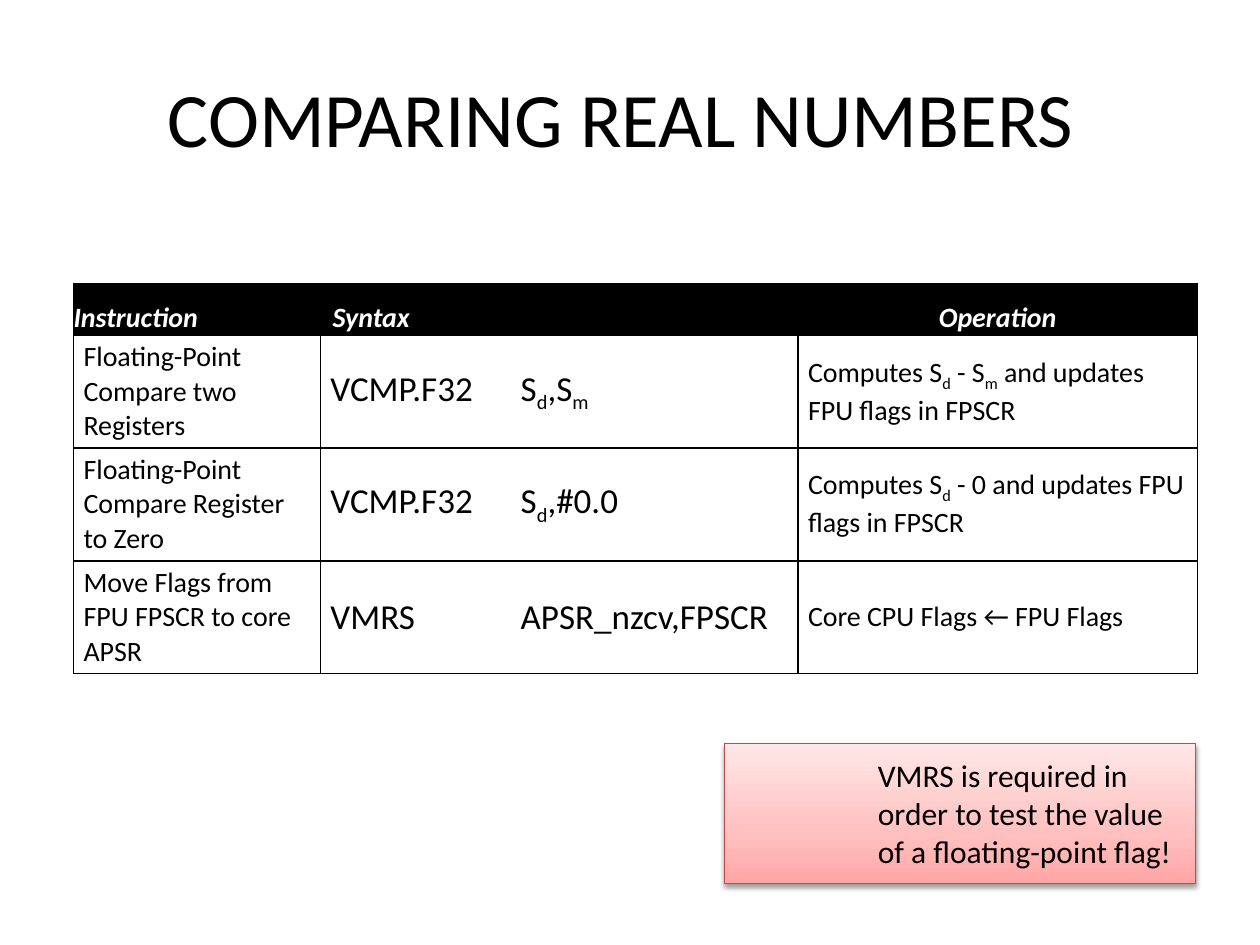
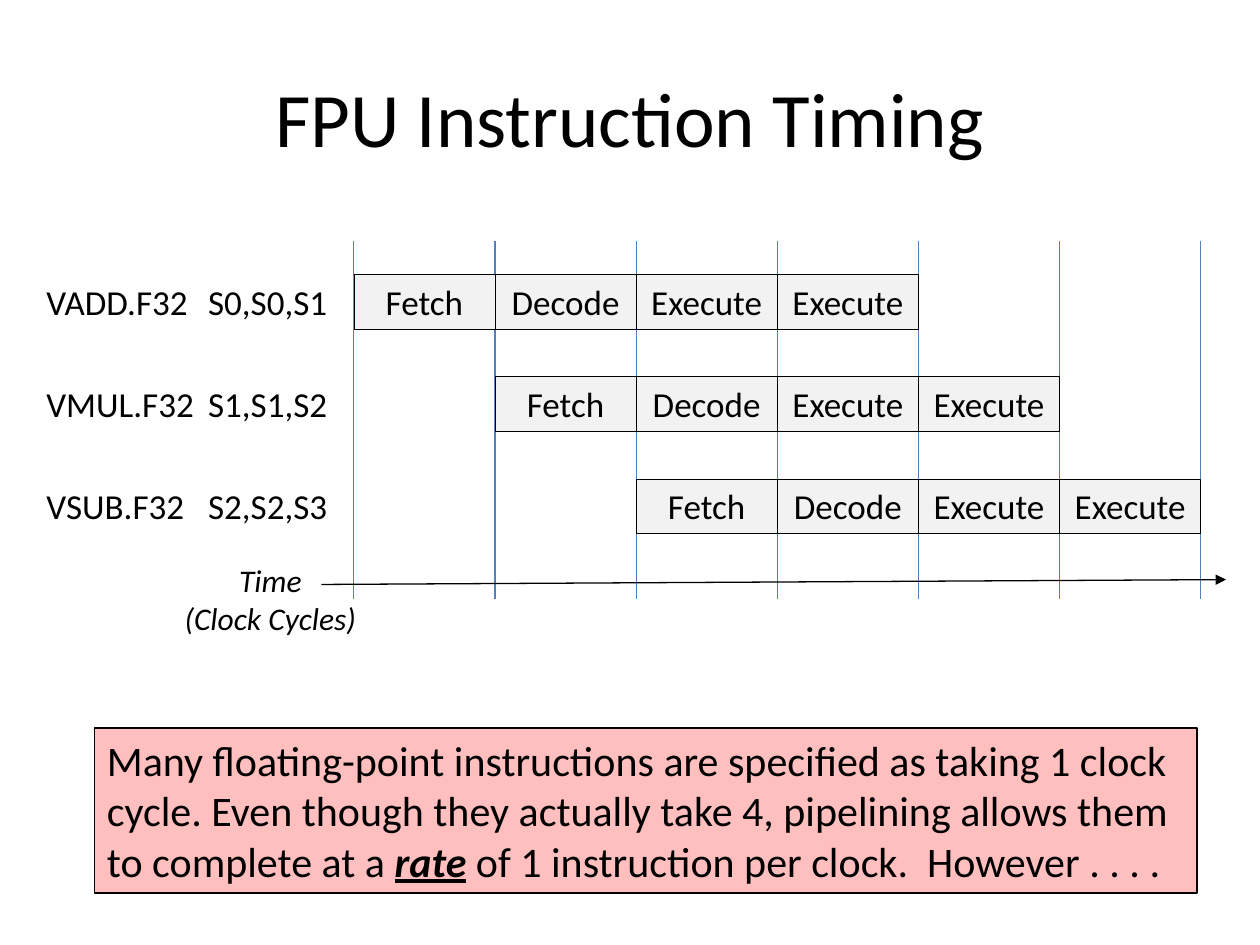
from lxml.etree import SubElement
from pptx import Presentation
from pptx.dml.color import RGBColor
from pptx.enum.shapes import MSO_CONNECTOR, MSO_SHAPE
from pptx.enum.text import MSO_ANCHOR, PP_ALIGN
from pptx.oxml import parse_xml
from pptx.oxml.ns import nsdecls, qn
from pptx.util import Pt

FONT = "Calibri"
COLORS = {
    "ink": "000000",
    "paper": "FFFFFF",
    "stage": "F2F2F2",
    "clock": "4F81BD",
    "warning": "FF0000",
    "callout_edge": "BF4C48",
}
CALLOUT_STOPS = ((0, "FFA6A5"), (35, "FFC0BF"), (100, "FFE7E7"))

# Each syntax and operation alternates plain text and subscripts.
INSTRUCTIONS = (
    ("Floating-Point Compare two Registers",
     ("VCMP.F32\tS", "d", ",S", "m"),
     ("Computes S", "d", " - S", "m", " and updates FPU flags in FPSCR")),
    ("Floating-Point Compare Register to Zero",
     ("VCMP.F32\tS", "d", ",#0.0"),
     ("Computes S", "d", " - 0 and updates FPU flags in FPSCR")),
    ("Move Flags from FPU FPSCR to core APSR",
     ("VMRS\tAPSR_nzcv,FPSCR",),
     ("Core CPU Flags ← FPU Flags",)),
)

PIPELINE = ("VADD.F32\tS0,S0,S1", "VMUL.F32\tS1,S1,S2", "VSUB.F32\tS2,S2,S3")
STAGES = ("Fetch", "Decode", "Execute", "Execute")
CYCLE_LEFT, CYCLE_WIDTH = 202.2, 80.66
STAGE_TOP, STAGE_HEIGHT, STAGE_PITCH = 157, 31, 58.3


def rgb(name):
    return RGBColor.from_string(COLORS[name])


def add_run(paragraph, text, size, color="ink", subscript=False, **emphasis):
    run = paragraph.add_run()
    run.text = text
    run.font.name = FONT
    run.font.size = Pt(size)
    run.font.color.rgb = rgb(color)
    for attribute, value in emphasis.items():
        setattr(run.font, attribute, value)
    if subscript:
        run._r.get_or_add_rPr().set("baseline", "-25000")


def add_subscripted(paragraph, pieces, size):
    """Write pieces, every second one as a subscript."""
    for index, piece in enumerate(pieces):
        add_run(paragraph, piece, size, subscript=index % 2 == 1)


def add_tab_stop(paragraph, position):
    tabs = SubElement(paragraph._p.get_or_add_pPr(), qn("a:tabLst"))
    SubElement(tabs, qn("a:tab"), pos=str(Pt(position)), algn="l")


def add_titled_slide(deck, title):
    slide = deck.slides.add_slide(deck.slide_layouts[5])
    heading = slide.shapes.title
    heading.left, heading.top = Pt(36), Pt(21.6)
    heading.width, heading.height = Pt(648), Pt(90)
    heading.text_frame.vertical_anchor = MSO_ANCHOR.MIDDLE
    paragraph = heading.text_frame.paragraphs[0]
    paragraph.alignment = PP_ALIGN.CENTER
    add_run(paragraph, title, 44)
    return slide


def add_box(slide, left, top, width, height, fill, line, line_width,
            anchor=MSO_ANCHOR.TOP, align=PP_ALIGN.LEFT):
    box = slide.shapes.add_shape(
        MSO_SHAPE.RECTANGLE, Pt(left), Pt(top), Pt(width), Pt(height))
    box.shadow.inherit = False
    box.fill.solid()
    box.fill.fore_color.rgb = rgb(fill)
    box.line.color.rgb = rgb(line)
    box.line.width = Pt(line_width)
    box.text_frame.word_wrap = True
    box.text_frame.vertical_anchor = anchor
    box.text_frame.paragraphs[0].alignment = align
    return box


def add_label(slide, left, top, width, height):
    label = slide.shapes.add_textbox(Pt(left), Pt(top), Pt(width), Pt(height))
    frame = label.text_frame
    frame.word_wrap = True
    frame.vertical_anchor = MSO_ANCHOR.MIDDLE
    frame.margin_left = frame.margin_right = 0
    return frame


def add_line(slide, start, end, color, arrow=False):
    line = slide.shapes.add_connector(
        MSO_CONNECTOR.STRAIGHT, *(Pt(value) for value in start + end))
    line.line.color.rgb = rgb(color)
    line.line.width = Pt(0.75)
    if arrow:
        SubElement(line.line._get_or_add_ln(), qn("a:tailEnd"), type="triangle")
    SubElement(line._element.spPr, qn("a:effectLst"))


def set_borders(cell):
    properties = cell._tc.get_or_add_tcPr()
    for index, side in enumerate(("lnL", "lnR", "lnT", "lnB")):
        properties.insert(index, parse_xml(
            f'<a:{side} {nsdecls("a")} w="{Pt(1)}"><a:solidFill>'
            f'<a:srgbClr val="{COLORS["ink"]}"/></a:solidFill></a:{side}>'))


def set_margins(cell, left, top, right, bottom):
    cell.margin_left, cell.margin_top = Pt(left), Pt(top)
    cell.margin_right, cell.margin_bottom = Pt(right), Pt(bottom)


def fill_header(cell, heading, indent, align):
    cell.fill.solid()
    cell.fill.fore_color.rgb = rgb("ink")
    cell.vertical_anchor = MSO_ANCHOR.BOTTOM
    set_margins(cell, indent, 0, 0, 0)
    paragraph = cell.text_frame.paragraphs[0]
    paragraph.alignment = align
    paragraph.line_spacing = 1.5
    add_run(paragraph, heading, 16, "paper", bold=True, italic=True)


def add_instruction_table(slide):
    table = slide.shapes.add_table(
        len(INSTRUCTIONS) + 1, 3, Pt(42), Pt(162), Pt(642), Pt(223)).table
    table.first_row = table.horz_banding = False
    for column, width in zip(table.columns, (141.1, 272.9, 228.2)):
        column.width = Pt(width)
    for row, height in zip(table.rows, (29.5, 64.5, 64.5, 64.5)):
        row.height = Pt(height)

    headers = (("Instruction", 0, PP_ALIGN.LEFT), ("Syntax", 7, PP_ALIGN.LEFT),
               ("Operation", 0, PP_ALIGN.CENTER))
    for column, header in enumerate(headers):
        fill_header(table.cell(0, column), *header)

    for row, (purpose, syntax, operation) in enumerate(INSTRUCTIONS, start=1):
        for column, pieces in enumerate(((purpose,), syntax, operation)):
            is_syntax = column == 1
            cell = table.cell(row, column)
            cell.fill.background()
            cell.vertical_anchor = MSO_ANCHOR.MIDDLE
            set_margins(cell, 5.76, 2.88, 0 if is_syntax else 5.76, 2.88)
            paragraph = cell.text_frame.paragraphs[0]
            if is_syntax:
                add_tab_stop(paragraph, 108.7)
            add_subscripted(paragraph, pieces, 20 if is_syntax else 16)

    for cell in table.iter_cells():
        set_borders(cell)


def add_vmrs_callout(slide):
    callout = add_box(slide, 414, 424.8, 269.3, 80, "paper", "callout_edge", 0.75)
    properties = callout._element.spPr
    stops = "".join(
        f'<a:gs pos="{percent * 1000}"><a:srgbClr val="{color}"/></a:gs>'
        for percent, color in CALLOUT_STOPS)
    properties.replace(properties.find(qn("a:solidFill")), parse_xml(
        f'<a:gradFill {nsdecls("a")} rotWithShape="1"><a:gsLst>{stops}</a:gsLst>'
        '<a:lin ang="16200000" scaled="0"/></a:gradFill>'))
    properties.find(qn("a:effectLst")).append(parse_xml(
        f'<a:outerShdw {nsdecls("a")} blurRad="{Pt(3.1)}" dist="{Pt(1.6)}" '
        f'dir="5400000" rotWithShape="0"><a:srgbClr val="{COLORS["ink"]}">'
        '<a:alpha val="38000"/></a:srgbClr></a:outerShdw>'))
    frame = callout.text_frame
    frame.margin_top = frame.margin_bottom = Pt(7.2)
    paragraph = frame.paragraphs[0]
    paragraph._p.get_or_add_pPr().set("marL", str(Pt(80.6)))
    add_run(paragraph,
            "VMRS is required in order to test the value of a floating-point flag!", 18)


def add_pipeline(slide):
    for cycle in range(len(PIPELINE) + len(STAGES)):
        x = CYCLE_LEFT + cycle * CYCLE_WIDTH
        add_line(slide, (x, 137.5), (x, 342), "clock")

    for row, instruction in enumerate(PIPELINE):
        top = STAGE_TOP + row * STAGE_PITCH
        label = add_label(slide, 26.5, top, 170, STAGE_HEIGHT).paragraphs[0]
        add_tab_stop(label, 92.4)
        add_run(label, instruction, 20)
        for step, stage in enumerate(STAGES):
            box = add_box(slide, CYCLE_LEFT + (row + step) * CYCLE_WIDTH, top,
                          CYCLE_WIDTH, STAGE_HEIGHT, "stage", "ink", 0.25,
                          MSO_ANCHOR.MIDDLE, PP_ALIGN.CENTER)
            add_run(box.text_frame.paragraphs[0], stage, 20)


def add_time_axis(slide):
    add_line(slide, (183.6, 334), (700.6, 331.2), "ink", arrow=True)
    caption = add_label(slide, 92.2, 316.8, 124.6, 51)
    for paragraph, text in ((caption.paragraphs[0], "Time"),
                            (caption.add_paragraph(), "(Clock Cycles)")):
        paragraph.alignment = PP_ALIGN.CENTER
        add_run(paragraph, text, 18, italic=True)


def add_rate_note(slide):
    note = add_box(slide, 54, 416, 630, 94.3, "warning", "ink", 0.75)
    tint = note._element.spPr.find(qn("a:solidFill"))[0]
    SubElement(tint, qn("a:alpha"), val="25000")
    paragraph = note.text_frame.paragraphs[0]
    add_run(paragraph, "Many floating-point instructions are specified as taking "
            "1 clock cycle. Even though they actually take 4, pipelining allows "
            "them to complete at a ", 24)
    add_run(paragraph, "rate", 24, bold=True, italic=True, underline=True)
    add_run(paragraph, " of 1 instruction per clock.  However . . . .", 24)


def main():
    deck = Presentation()
    deck.slide_width, deck.slide_height = Pt(720), Pt(540)

    comparing = add_titled_slide(deck, "COMPARING REAL NUMBERS ")
    add_instruction_table(comparing)
    add_vmrs_callout(comparing)

    timing = add_titled_slide(deck, "FPU Instruction Timing")
    add_pipeline(timing)
    add_time_axis(timing)
    add_rate_note(timing)

    deck.save("out.pptx")


if __name__ == "__main__":
    main()
